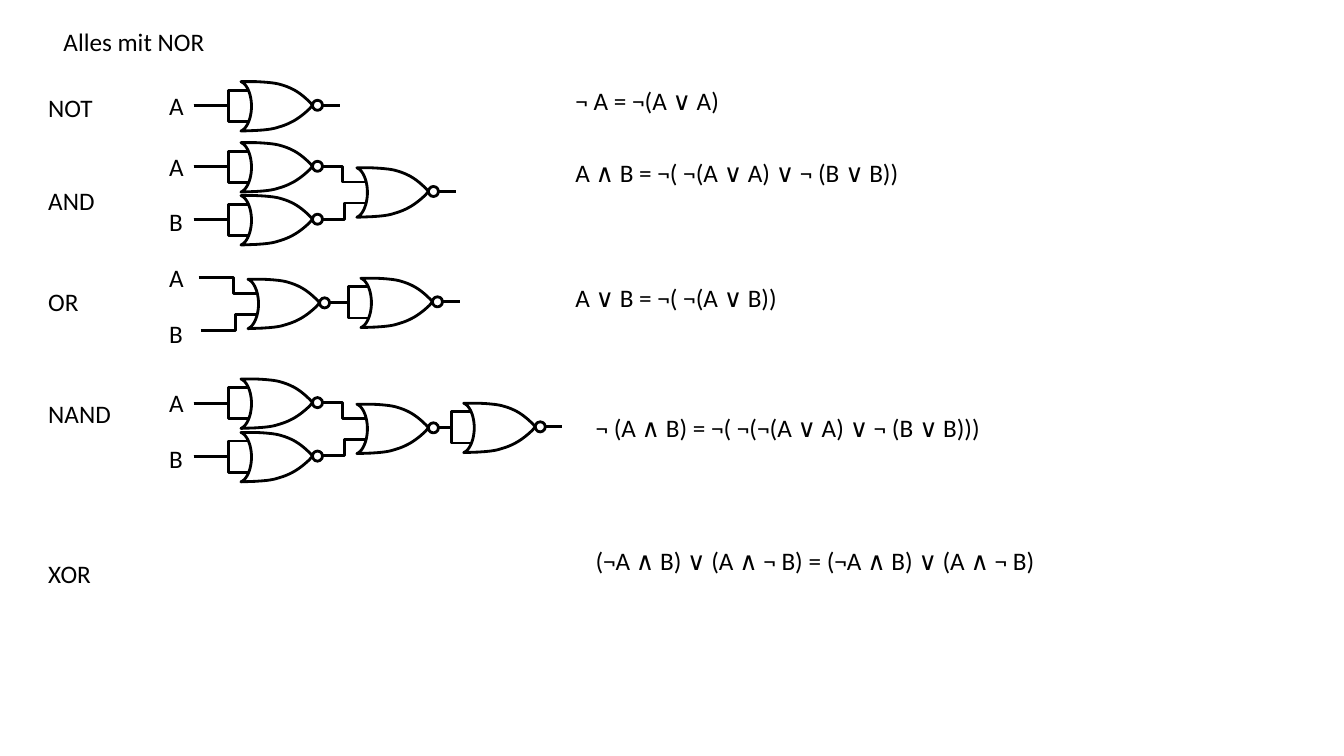
import pptx
import pptx.util
import pptx.dml.color
import pptx.enum.shapes
import pptx.enum.text
import pptx.oxml.ns
import lxml.etree

# Content: places are (column, row) on a grid of tenth-inch cells
TITLE = ("Alles mit NOR", 5.3, 2.1, 16.1)
NAMES = [("NOT", 8.7), ("AND", 17.9), ("OR", 27.9), ("NAND", 39), ("XOR", 54.9)]
INPUTS = [("A", 8.5), ("A", 14.5), ("B", 20), ("A", 25.5),
          ("B", 31.1), ("A", 37.9), ("B", 43.5)]
RULES = [
    ("¬ A = ¬(A ∨ A)", 56.1, 8, 17.6, True),
    ("A ∧ B = ¬( ¬(A ∨ A) ∨ ¬ (B ∨ B))", 56.1, 15.1, 36.3, True),
    ("A ∨ B = ¬( ¬(A ∨ B))", 56.1, 27.5, 35, True),
    ("¬ (A ∧ B) = ¬( ¬(¬(A ∨ A) ∨ ¬ (B ∨ B)))", 58.1, 40.4, 42.2, True),
    ("(¬A ∧ B) ∨ (A ∧ ¬ B) = (¬A ∧ B) ∨ (A ∧ ¬ B)", 58.1, 53.6, 47, False),
]
# Gates: column, row, kind of input, output wire; last stage first
GATES = [
    (23.9, 8.1, "tied", True),
    (35.4, 16.65, "pair", True),
    (23.9, 14.15, "tied", False),
    (23.9, 19.4, "tied", False),
    (35.8, 27.6, "tied", True),
    (24.6, 27.7, "pair", False),
    (46, 40, "tied", True),
    (35.4, 40.1, "pair", False),
    (23.9, 37.6, "tied", False),
    (23.9, 42.9, "tied", False),
]

# Format
COLORS = {"ink": "000000", "paper": "FFFFFF"}
CELL = pptx.util.Inches(0.1)
WIDE, HIGH = 133.33, 75
ROW = 4
STROKE = pptx.util.Pt(2)
FONT = {"name": "Calibri", "size": pptx.util.Pt(18), "bold": False}
FRAME = {"vertical_anchor": pptx.enum.text.MSO_ANCHOR.TOP,
         "auto_size": pptx.enum.text.MSO_AUTO_SIZE.SHAPE_TO_FIT_TEXT}

# Gate parts, relative to the top left corner of a gate
WIRES = {
    "tied": [(-4.7, 2.4, 0.85), (-4.7, 2.4, 3.95)],
    "pair": [(-4.9, -0.15, 1.4), (-4.7, 5.1, 3.5)],
}
BEND, REACH = 3.5, 8.2
TIP, MID, DOT, TAIL = 7.1, 2.35, 1, 1.7
BODY = [
    [(0, 0), (1.5, 0)],
    [(1.5, 0), (2.4, 0.05), (3.2, 0.1), (3.8, 0.25)],
    [(3.8, 0.25), (5.1, 0.6), (5.9, 1.1), (6.9, 2.1)],
    [(6.9, 2.1), (7.1, 2.35), (6.8, 2.7)],
    [(6.8, 2.7), (5.8, 3.65), (4.9, 4.2), (3.6, 4.55)],
    [(3.6, 4.55), (3, 4.75), (2.2, 4.8), (1.4, 4.85)],
    [(1.4, 4.85), (0, 4.9), (0.1, 4.85)],
    [(0.1, 4.85), (0.6, 4.6), (1.05, 3.6), (1.05, 2.45)],
    [(1.05, 2.45), (1.05, 1.25), (0.6, 0.3), (0.1, 0.05)],
]


def cells(*vals):
    return [round(val * CELL) for val in vals]


def tone(name):
    return pptx.dml.color.RGBColor.from_string(COLORS[name])


def apply(item, vals):
    for key, val in vals.items():
        setattr(item, key, val)


def ink(shape):
    shape.line.color.rgb = tone("ink")
    shape.line.width = STROKE


def paint(shape, fill=None):
    shape.shadow.inherit = False
    ink(shape)
    if fill:
        shape.fill.solid()
        shape.fill.fore_color.rgb = tone(fill)
    else:
        shape.fill.background()


def write(shape, text, wrap=False):
    frame = shape.text_frame
    apply(frame, {**FRAME, "word_wrap": wrap})
    frame.text = text
    para = frame.paragraphs[0]
    para.alignment = pptx.enum.text.PP_ALIGN.LEFT
    font = para.runs[0].font
    apply(font, FONT)
    font.color.rgb = tone("ink")


def label(slide, text, x, y, wide, wrap=False):
    write(slide.shapes.add_textbox(*cells(x, y, wide, ROW)), text, wrap)


def curve(part, steps=12):
    """Points along one part of the outline; four points make a Bezier."""
    if len(part) < 4:
        return part[1:]
    pts = []
    for step in range(1, steps + 1):
        t = step / steps
        mix = ((1 - t) ** 3, 3 * t * (1 - t) ** 2, 3 * t * t * (1 - t), t ** 3)
        pts.append(tuple(sum(m * pt[axis] for m, pt in zip(mix, part))
                         for axis in (0, 1)))
    return pts


def draw(slide, x, y, pts, close=False, fill=None):
    spots = [cells(x + dx, y + dy) for dx, dy in pts]
    pen = slide.shapes.build_freeform(*spots[0], scale=1.0)
    pen.add_line_segments(spots[1:], close=close)
    paint(pen.convert_to_shape(), fill)


def gate(slide, x, y, kind, tail):
    # Input wires
    for left, start, end in WIRES[kind]:
        bend = left + BEND
        draw(slide, x, y, [(left, start), (bend, start), (bend, end),
                           (left + REACH, end)])
    # Body
    rim = BODY[0][:1] + [pt for part in BODY for pt in curve(part)]
    draw(slide, x, y, rim, True, "paper")
    # Output wire
    if tail:
        start = x + TIP + DOT
        line = slide.shapes.add_connector(
            pptx.enum.shapes.MSO_CONNECTOR.STRAIGHT,
            *cells(start, y + MID, start + TAIL, y + MID))
        ink(line)
        lxml.etree.SubElement(line._element.spPr,
                              pptx.oxml.ns.qn("a:effectLst"))
    # Negation dot
    dot = slide.shapes.add_shape(
        pptx.enum.shapes.MSO_SHAPE.OVAL,
        *cells(x + TIP, y + MID - DOT / 2, DOT, DOT))
    paint(dot, "paper")


def main():
    deck = pptx.Presentation()
    deck.slide_width, deck.slide_height = cells(WIDE, HIGH)
    slide = deck.slides.add_slide(deck.slide_layouts[5])

    # Title
    text, x, y, wide = TITLE
    head = slide.shapes.title
    apply(head, dict(zip(("left", "top", "width", "height"),
                         cells(x, y, wide, ROW))))
    write(head, text)

    # Labels and formulas
    for text, y in NAMES:
        label(slide, text, 3.8, y, 2 + 1.55 * len(text))
    for text, y in INPUTS:
        label(slide, text, 15.8, y, 3.5)
    for rule in RULES:
        label(slide, *rule)

    # Circuits
    for spot in GATES:
        gate(slide, *spot)
    deck.save("out.pptx")


if __name__ == "__main__":
    main()
